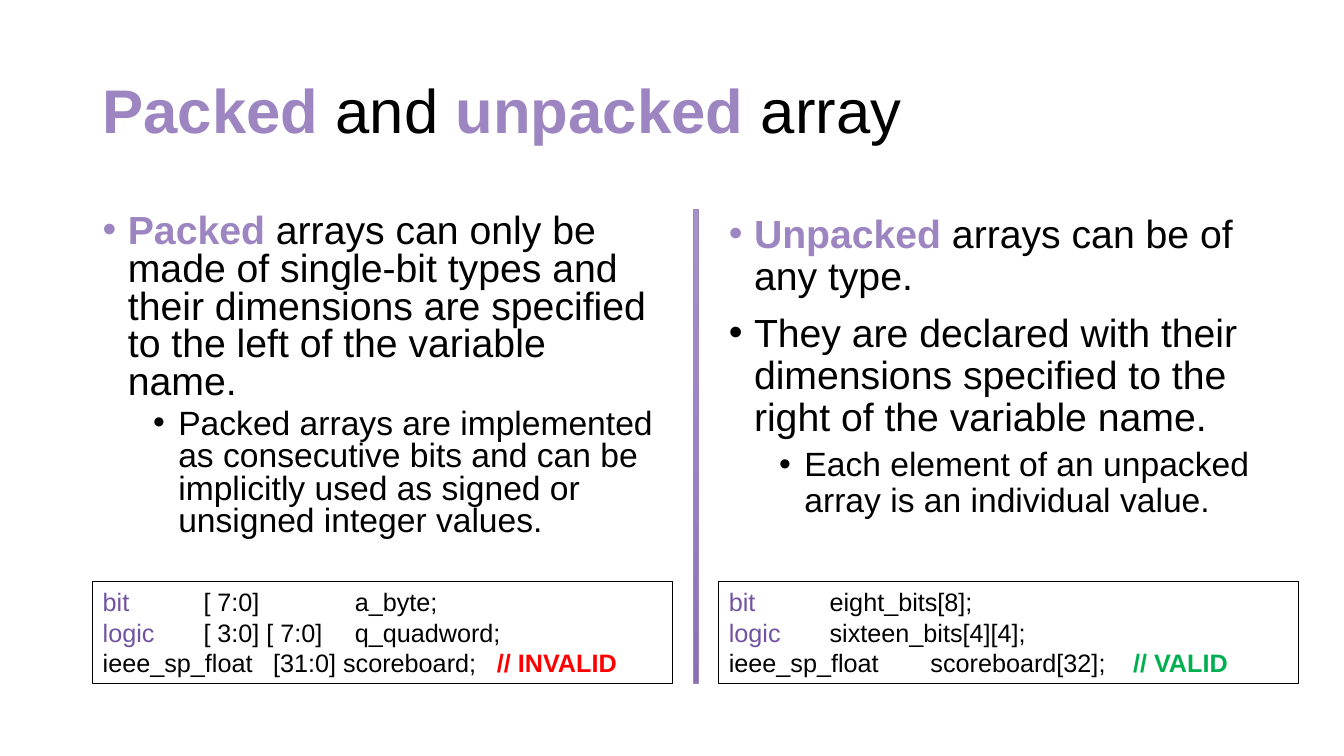
from copy import deepcopy

from lxml.etree import SubElement as Sub
from pptx import Presentation
from pptx.dml.color import RGBColor as RGB
from pptx.enum.shapes import MSO_SHAPE as Shape
from pptx.enum.text import MSO_ANCHOR as Anchor, PP_ALIGN as Align
from pptx.oxml.ns import qn
from pptx.util import Inches, Pt

LILAC, VIOLET, BLACK = "9C85C0", "7153A1", "000000"
RED, GREEN = "FF0000", "00B050"
LEFT, RIGHT, WIDE = 0.92, 7.13, 5.75
TOP, CODE_TOP, CODE_TALL = 2.08, 5.77, 1.01


def color(code):
    return RGB.from_string(code)


def key(text):
    return text, LILAC, True


def word(text):
    return text, VIOLET, False


def plain(text):
    return text, BLACK, False


def write(frame, runs, size=18, space=None, before=0, level=None, tabs=()):
    """Add a paragraph; a level gives it a bullet, tabs are in inches."""
    para = frame.paragraphs[0]
    if para.runs:
        para = frame.add_paragraph()
    para.alignment = Align.LEFT
    para.space_before = Pt(before)
    if space:
        para.line_spacing = space
    props = para._p.get_or_add_pPr()
    if level is not None:
        para.level = level
        props.set("marL", str(Inches(0.25 + 0.5 * level)))
        props.set("indent", str(-Inches(0.25)))
        Sub(props, qn("a:buFont"), typeface="Arial")
        Sub(props, qn("a:buChar"), char="•")
    if tabs:
        stops = Sub(props, qn("a:tabLst"))
        for stop in tabs:
            Sub(stops, qn("a:tab"), pos=str(Inches(stop)), algn="l")
    for text, tint, bold in runs:
        run = para.add_run()
        run.text = text
        font = run.font
        font.name, font.size, font.bold = "Arial", Pt(size), bold
        font.color.rgb = color(tint)


def add_text(slide, left, top, wide, tall, anchor=Anchor.TOP):
    box = slide.shapes.add_textbox(*map(Inches, (left, top, wide, tall)))
    frame = box.text_frame
    frame.word_wrap = True
    frame.vertical_anchor = anchor
    return frame


def add_list(slide, left, space, items):
    frame = add_text(slide, left, TOP, WIDE, 3.35)
    for level, runs in items:
        write(frame, runs, size=28 - 4 * level, space=space,
              before=10 - 5 * level, level=level)


def add_box(slide, kind, left, top, wide, tall, line, weight):
    box = slide.shapes.add_shape(kind, *map(Inches, (left, top, wide, tall)))
    box.shadow.inherit = False
    box.line.color.rgb = color(line)
    box.line.width = Pt(weight)
    return box


def add_code(slide, left, lines):
    box = add_box(slide, Shape.RECTANGLE, left, CODE_TOP, WIDE, CODE_TALL,
                  BLACK, 0.75)
    box.fill.background()
    frame = box.text_frame
    frame.word_wrap = True
    frame.vertical_anchor = Anchor.TOP
    for tabs, runs in lines:
        write(frame, runs, tabs=tabs)


def add_bar(slide):
    bar = add_box(slide, Shape.FLOWCHART_PROCESS, 6.88, TOP, 0.05, 4.7,
                  LILAC, 0.5)
    fill = bar.fill
    fill.gradient()
    fill.gradient_angle = 270
    # Third stop, between the two that a gradient starts with
    first = bar._element.spPr.find(".//" + qn("a:gs"))
    first.addnext(deepcopy(first))
    shades = (0, "A793C7"), (0.5, "9B82C3"), (1, "8970B1")
    for stop, (place, shade) in zip(fill.gradient_stops, shades):
        stop.position = place
        stop.color.rgb = color(shade)


def main():
    deck = Presentation()
    deck.slide_width, deck.slide_height = Inches(13.33), Inches(7.5)
    slide = deck.slides.add_slide(deck.slide_layouts[6])

    # Title
    title = add_text(slide, LEFT, 0.4, 11.5, 1.45, Anchor.MIDDLE)
    write(title, [key("Packed"), plain(" and "), key("unpacked"),
                  plain(" array")], size=44, space=0.9)

    # Packed arrays
    add_list(slide, LEFT, 0.8, [
        (0, [key("Packed"), plain(
            " arrays can only be made of single-bit types and their "
            "dimensions are specified to the left of the variable name.")]),
        (1, [plain("Packed arrays are implemented as consecutive bits and can "
                   "be implicitly used as signed or unsigned integer values.")]),
    ])
    add_code(slide, LEFT, [
        ((1, 2.5), [word("bit\t"), plain("[ 7:0]\ta_byte;")]),
        ((1, 2.5), [word("logic\t"), plain("[ 3:0] [ 7:0]\tq_quadword;")]),
        ((1.69, 3.91), [plain("ieee_sp_float\t[31:0] scoreboard;\t"),
                        ("// INVALID", RED, True)]),
    ])

    # Unpacked arrays
    add_list(slide, RIGHT, 0.9, [
        (0, [key("Unpacked"), plain(" arrays can be of any type.")]),
        (0, [plain("They are declared with their dimensions specified to the "
                   "right of the variable name.")]),
        (1, [plain("Each element of an unpacked array is an individual "
                   "value.")]),
    ])
    add_code(slide, RIGHT, [
        ((1,), [word("bit\t"), plain("eight_bits[8];")]),
        ((1,), [word("logic\t"), plain("sixteen_bits[4][4];")]),
        ((2, 4.01), [plain("ieee_sp_float\tscoreboard[32];\t"),
                     ("// VALID", GREEN, True)]),
    ])

    # Divider
    add_bar(slide)
    deck.save("out.pptx")


if __name__ == "__main__":
    main()
